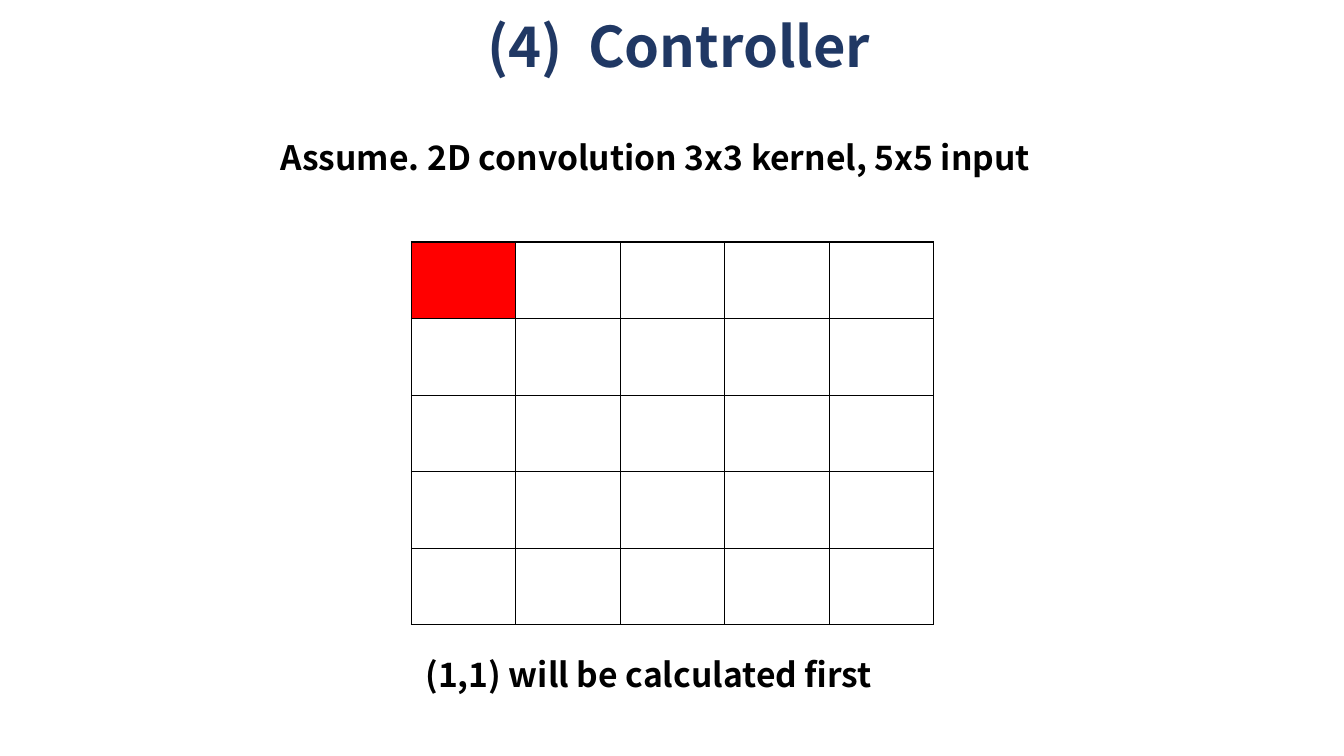
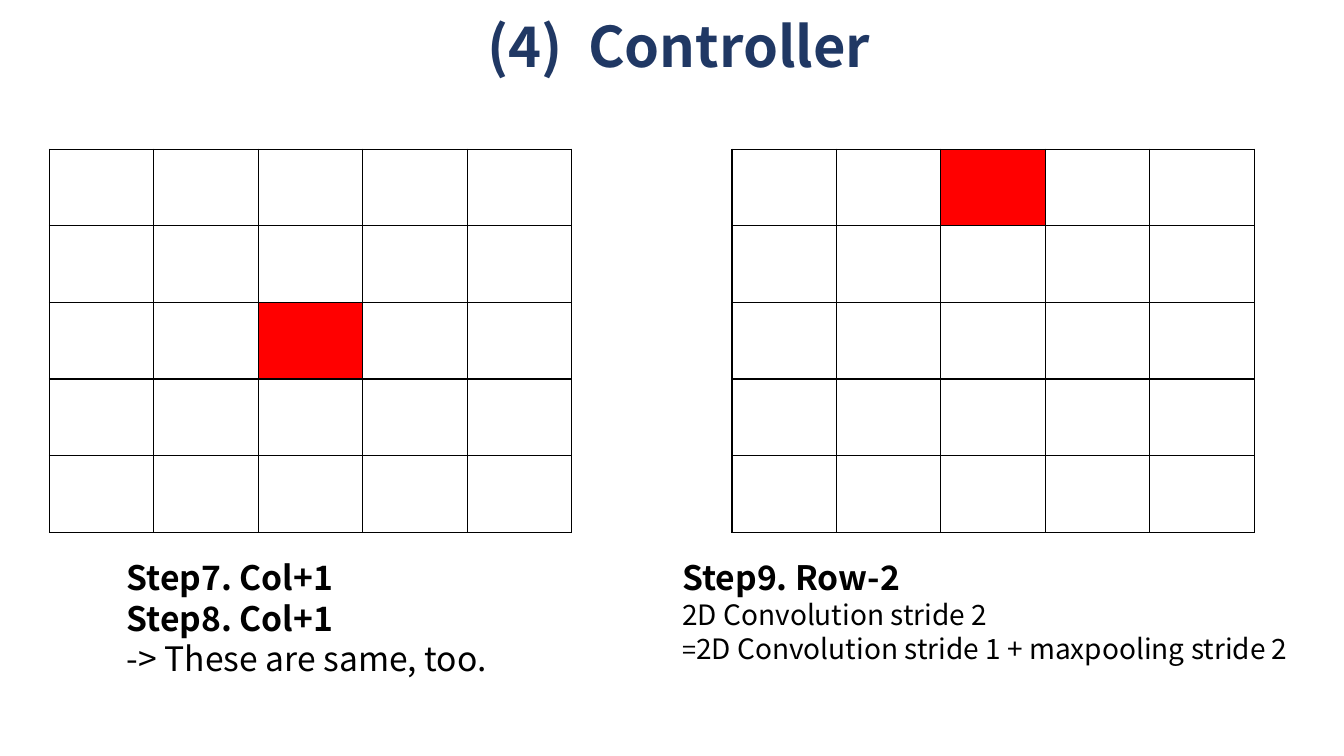
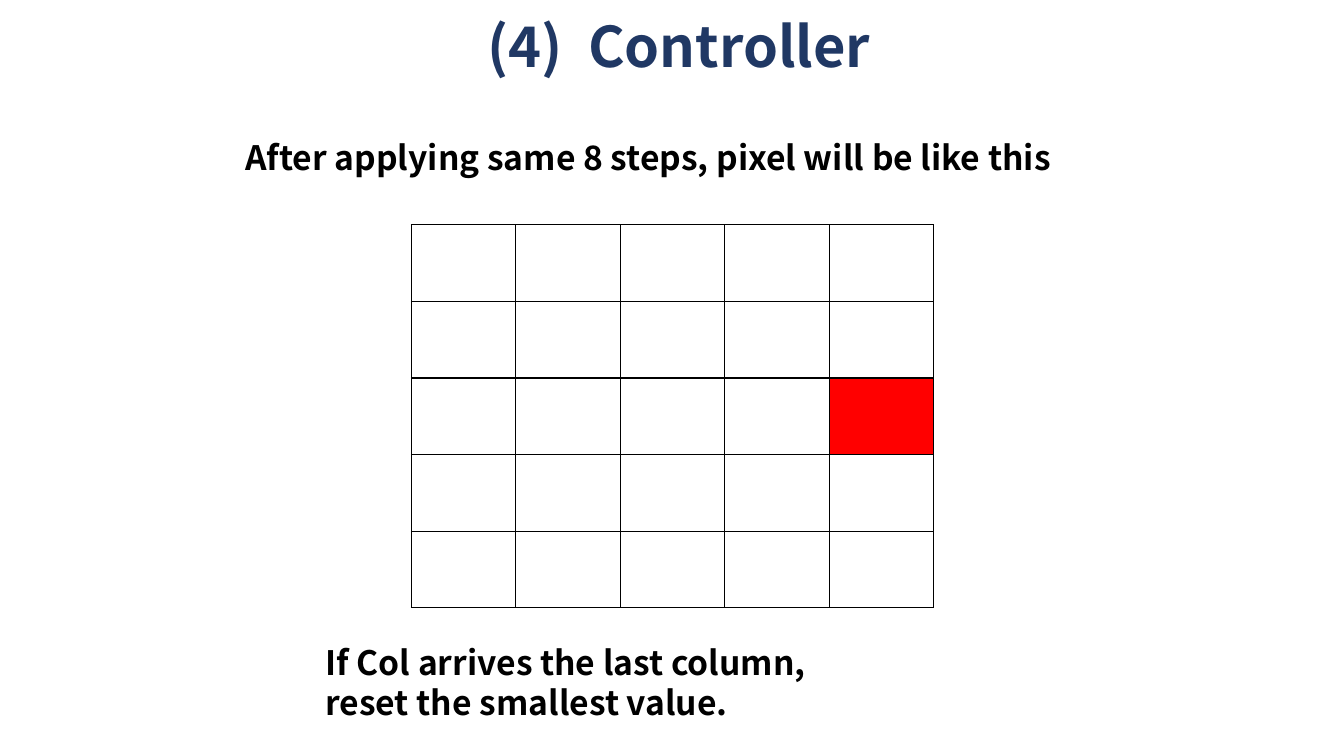
from lxml.etree import SubElement
from pptx import Presentation
from pptx.dml.color import RGBColor
from pptx.enum.text import MSO_ANCHOR as Anchor, MSO_AUTO_SIZE as AutoSize, PP_ALIGN as Align
from pptx.oxml.ns import qn
from pptx.util import Inches, Pt

NAVY = RGBColor(0x20, 0x38, 0x64)
BLACK = RGBColor(0x00, 0x00, 0x00)
WHITE = RGBColor(0xFF, 0xFF, 0xFF)
RED = RGBColor(0xFF, 0x00, 0x00)

FONT = "Noto Sans CJK KR"
TITLE = {"name": FONT, "size": Pt(40), "bold": True}
STRONG = {"name": FONT, "size": Pt(24), "bold": True}
PLAIN = {**STRONG, "bold": False}
DETAIL = {**PLAIN, "size": Pt(20)}
SMALL = {**PLAIN, "size": Pt(18)}

GRID_SIZE = 5
GRID_WIDTH, GRID_HEIGHT = 5.18, 3.8


class Deck:
    """Holds the shared style and the slide being filled."""

    def __init__(self):
        self.prs = Presentation()
        self.prs.slide_width, self.prs.slide_height = Inches(13.33), Inches(7.5)
        self.slide = None

    def format_run(self, run, style, color):
        for key, value in style.items():
            setattr(run.font, key, value)
        run.font.color.rgb = color

    def place(self, shape, left, top, width, height):
        shape.left, shape.top = Inches(left), Inches(top)
        shape.width, shape.height = Inches(width), Inches(height)

    def new_slide(self, heading=" (4)  Controller"):
        self.slide = self.prs.slides.add_slide(self.prs.slide_layouts[5])
        title = self.slide.shapes.title
        self.place(title, 0.92, 0.01, 11.5, 0.96)
        title.text_frame.vertical_anchor = Anchor.MIDDLE
        paragraph = title.text_frame.paragraphs[0]
        paragraph.alignment, paragraph.line_spacing = Align.CENTER, 0.9
        run = paragraph.add_run()
        run.text = heading
        self.format_run(run, TITLE, NAVY)

    def caption(self, left, top, width, height, *paragraphs):
        """Each paragraph is a list of (text, style) runs."""
        box = self.slide.shapes.add_textbox(
            Inches(left), Inches(top), Inches(width), Inches(height))
        frame = box.text_frame
        frame.word_wrap, frame.auto_size = True, AutoSize.SHAPE_TO_FIT_TEXT
        for index, runs in enumerate(paragraphs):
            paragraph = frame.add_paragraph() if index else frame.paragraphs[0]
            for text, style in runs:
                for number, line in enumerate(text.split("\n")):
                    if number:
                        paragraph.add_line_break()
                    run = paragraph.add_run()
                    run.text = line
                    self.format_run(run, style, BLACK)

    def border(self, cell):
        """Draw thin black lines on all four sides of a cell."""
        props = cell._tc.get_or_add_tcPr()
        for position, side in enumerate(("a:lnL", "a:lnR", "a:lnT", "a:lnB")):
            line = SubElement(props, qn(side), w=str(Pt(1)))
            fill = SubElement(line, qn("a:solidFill"))
            SubElement(fill, qn("a:srgbClr"), val=str(BLACK))
            props.insert(position, line)

    def pixel_grid(self, left, top, active):
        """Draw the input grid with the active (row, column) pixel in red."""
        table = self.slide.shapes.add_table(
            GRID_SIZE, GRID_SIZE, Inches(left), Inches(top),
            Inches(GRID_WIDTH), Inches(GRID_HEIGHT)).table
        table.first_row = table.horz_banding = False
        for row in range(GRID_SIZE):
            for column in range(GRID_SIZE):
                cell = table.cell(row, column)
                cell.fill.solid()
                cell.fill.fore_color.rgb = RED if (row, column) == active else WHITE
                self.border(cell)


def main():
    deck = Deck()

    # First pixel
    deck.new_slide()
    deck.pixel_grid(4.08, 2.4, (0, 0))
    deck.caption(4.12, 6.44, 5.09, 0.5, [("(1,1) will be calculated first", STRONG)])
    deck.caption(2.68, 1.31, 7.97, 0.5,
                 [("Assume. 2D convolution 3x3 kernel, 5x5 input", STRONG)])

    # Steps 7 to 9
    deck.new_slide()
    deck.pixel_grid(0.49, 1.48, (2, 2))
    deck.caption(1.16, 5.48, 3.84, 1.31,
                 [("Step7. Col+1", STRONG)],
                 [("Step8. Col+1", STRONG)],
                 [("-> These are same, too.", PLAIN)])
    deck.pixel_grid(7.26, 1.48, (0, 2))
    deck.caption(6.67, 5.48, 6.36, 1.58,
                 [("Step9. Row-2", STRONG)],
                 [("2D Convolution stride 2", DETAIL)],
                 [("=", SMALL), ("2D Convolution stride 1 + maxpooling stride 2", DETAIL)])

    # Last column
    deck.new_slide()
    deck.pixel_grid(4.08, 2.23, (2, 4))
    deck.caption(3.13, 6.32, 7.07, 0.91,
                 [("If Col arrives the last column, \nreset the smallest value.", STRONG)])
    deck.caption(2.34, 1.31, 8.66, 0.5,
                 [("After applying same 8 steps, pixel will be like this", STRONG)])

    deck.prs.save("out.pptx")


if __name__ == "__main__":
    main()
